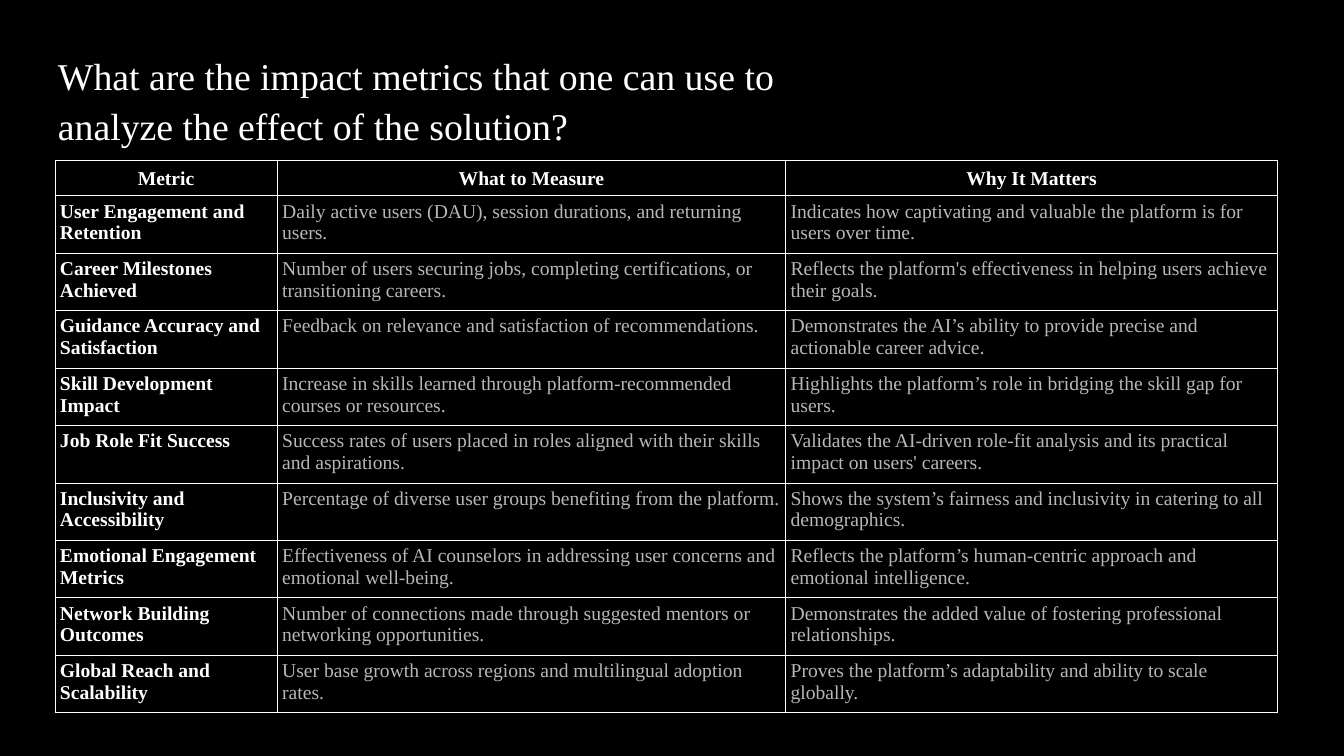
from lxml import etree
from pptx import Presentation
from pptx import util as u
from pptx.dml.color import RGBColor
from pptx.enum import text
from pptx.oxml import ns

PX = u.Inches(1) // 100
FONT = "Times New Roman"
BLACK, WHITE, GREY = "000000", "FFFFFF", "B7B7B7"
TITLE = "What are the impact metrics that one can use to analyze the effect of the solution?"
COLUMN_WIDTHS = [441, 1009, 976]
HEADER_HEIGHT, ROW_HEIGHT = 71, 114
HEADERS = ("Metric", "What to Measure", "Why It Matters")
METRICS = [
    ("User Engagement and Retention",
     "Daily active users (DAU), session durations, and returning users.",
     "Indicates how captivating and valuable the platform is for users over time."),
    ("Career Milestones Achieved",
     "Number of users securing jobs, completing certifications, or transitioning careers.",
     "Reflects the platform's effectiveness in helping users achieve their goals."),
    ("Guidance Accuracy and Satisfaction",
     "Feedback on relevance and satisfaction of recommendations.",
     "Demonstrates the AI’s ability to provide precise and actionable career advice."),
    ("Skill Development Impact",
     "Increase in skills learned through platform-recommended courses or resources.",
     "Highlights the platform’s role in bridging the skill gap for users."),
    ("Job Role Fit Success",
     "Success rates of users placed in roles aligned with their skills and aspirations.",
     "Validates the AI-driven role-fit analysis and its practical impact on users' careers."),
    ("Inclusivity and Accessibility",
     "Percentage of diverse user groups benefiting from the platform.",
     "Shows the system’s fairness and inclusivity in catering to all demographics."),
    ("Emotional Engagement Metrics",
     "Effectiveness of AI counselors in addressing user concerns and emotional well-being.",
     "Reflects the platform’s human-centric approach and emotional intelligence."),
    ("Network Building Outcomes",
     "Number of connections made through suggested mentors or networking opportunities.",
     "Demonstrates the added value of fostering professional relationships."),
    ("Global Reach and Scalability",
     "User base growth across regions and multilingual adoption rates.",
     "Proves the platform’s adaptability and ability to scale globally."),
]


def px(n):
    return u.Emu(n * PX)


def rgb(value):
    return RGBColor.from_string(value)


def format_run(r, size, color, bold=False):
    r.font.name = FONT
    r.font.size = u.Pt(size)
    r.font.bold = bold
    r.font.color.rgb = rgb(color)


def add_title(s):
    title = s.shapes.title
    title.left, title.top, title.width, title.height = map(px, (109, 99, 1509, 237))
    tf = title.text_frame
    tf.text = TITLE
    tf.word_wrap = True
    tf.auto_size = text.MSO_AUTO_SIZE.NONE
    tf.vertical_anchor = text.MSO_ANCHOR.MIDDLE
    tf.margin_left = tf.margin_top = tf.margin_right = px(6)
    tf.margin_bottom = px(50)
    p = tf.paragraphs[0]
    p.alignment = text.PP_ALIGN.LEFT
    p.line_spacing = 1.1
    format_run(p.runs[0], 54, WHITE)


def set_borders(cell, color, width):
    """Draw a solid line on all four sides of the cell."""
    tc_pr = cell._tc.get_or_add_tcPr()
    for i, side in enumerate(("lnL", "lnR", "lnT", "lnB")):
        ln = etree.Element(ns.qn(f"a:{side}"), w=str(u.Pt(width)))
        fill = etree.SubElement(ln, ns.qn("a:solidFill"))
        etree.SubElement(fill, ns.qn("a:srgbClr"), val=color)
        tc_pr.insert(i, ln)


def fill_cell(cell, content, is_header, is_label):
    cell.text_frame.text = content
    cell.fill.background()
    cell.margin_left = cell.margin_right = px(10)
    cell.margin_top = cell.margin_bottom = px(10)
    p = cell.text_frame.paragraphs[0]
    if is_header:
        p.alignment = text.PP_ALIGN.CENTER
        p.line_spacing = 1.15
    strong = is_header or is_label
    format_run(p.runs[0], 28, WHITE if strong else GREY, strong)
    set_borders(cell, WHITE, 0.75)


def add_metrics_table(s):
    rows = [HEADERS] + METRICS
    height = HEADER_HEIGHT + ROW_HEIGHT * len(METRICS)
    frame = s.shapes.add_table(len(rows), len(HEADERS), px(109), px(317),
                               px(sum(COLUMN_WIDTHS)), px(height))
    table = frame.table
    table.first_row = table.horz_banding = False
    for column, width in zip(table.columns, COLUMN_WIDTHS):
        column.width = px(width)
    for i, row in enumerate(rows):
        table.rows[i].height = px(ROW_HEIGHT if i else HEADER_HEIGHT)
        for j, content in enumerate(row):
            fill_cell(table.cell(i, j), content, i == 0, j == 0)


def main():
    prs = Presentation()
    prs.slide_width, prs.slide_height = px(2667), px(1500)
    s = prs.slides.add_slide(prs.slide_layouts.get_by_name("Title Only"))
    s.background.fill.solid()
    s.background.fill.fore_color.rgb = rgb(BLACK)
    add_title(s)
    add_metrics_table(s)
    prs.save("out.pptx")


if __name__ == "__main__":
    main()
